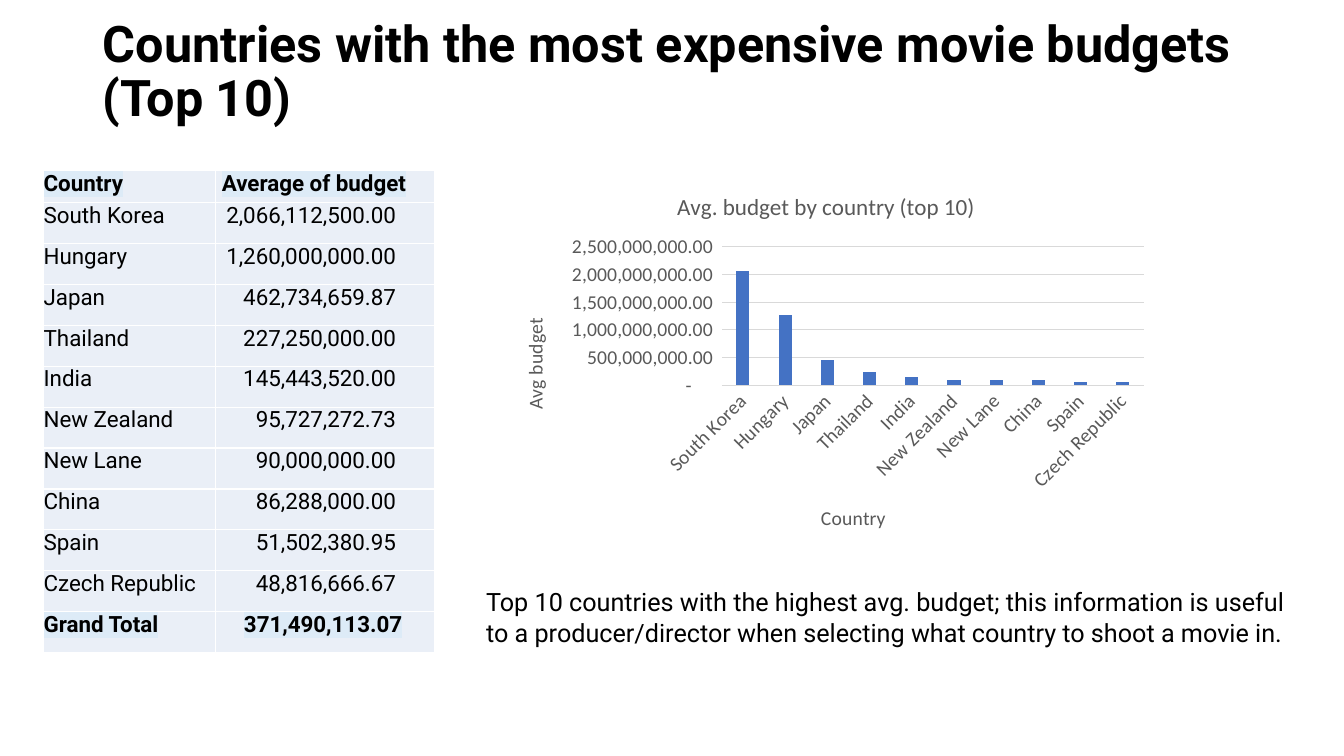
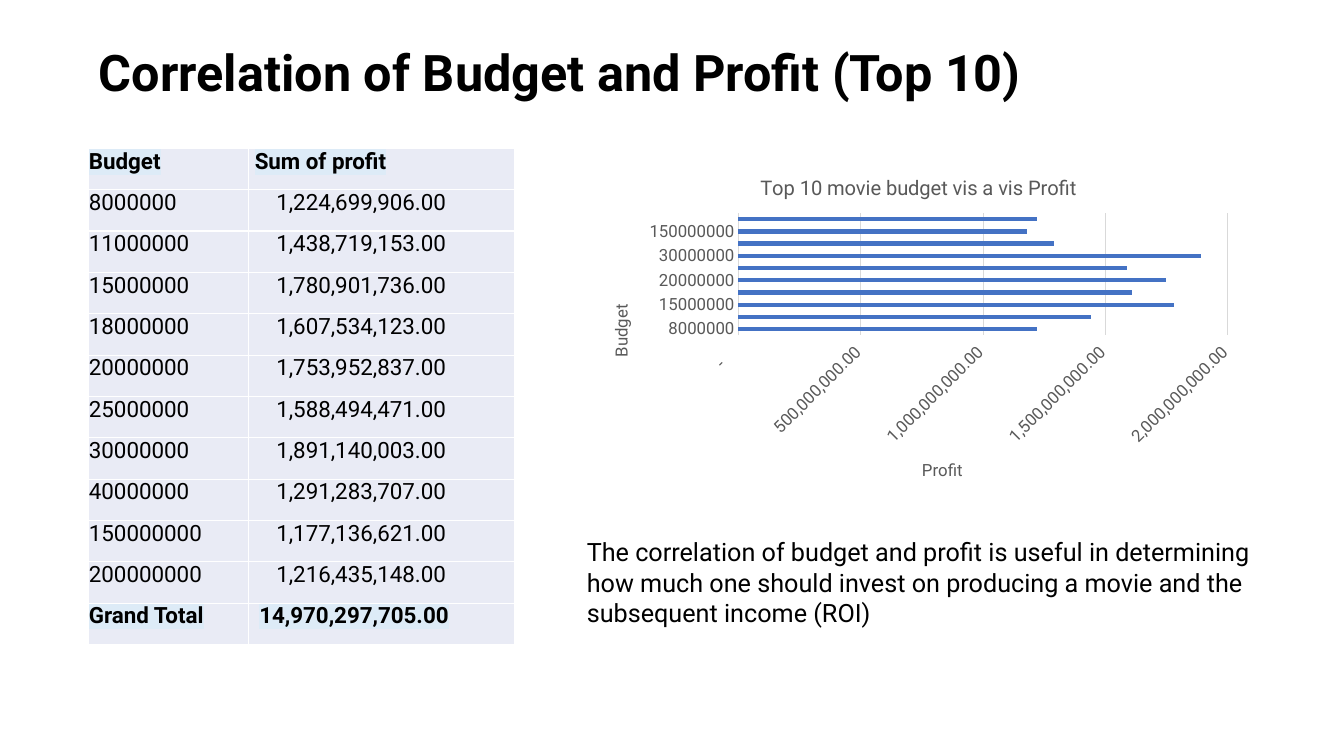
from dataclasses import dataclass

from lxml import etree
from pptx import Presentation
from pptx.chart.data import CategoryChartData
from pptx.dml.color import RGBColor
from pptx.enum.chart import XL_CHART_TYPE, XL_TICK_MARK
from pptx.enum.text import MSO_ANCHOR, MSO_AUTO_SIZE, PP_ALIGN
from pptx.oxml.ns import qn
from pptx.util import Cm, Pt

COLUMN = XL_CHART_TYPE.COLUMN_CLUSTERED
BAR = XL_CHART_TYPE.BAR_CLUSTERED
NO_TICK = XL_TICK_MARK.NONE
MIDDLE = MSO_ANCHOR.MIDDLE
NO_FIT = MSO_AUTO_SIZE.NONE
LEFT = PP_ALIGN.LEFT
RIGHT = PP_ALIGN.RIGHT

FONT = "Roboto"
BLACK = "000000"
GREY = "595959"
RULE = "D9D9D9"
BLUE = "4472C4"
MARK = "DDEBF7"
MONEY = '_(* #,##0.00_);_(* \\(#,##0.00\\);_(* "-"??_);_(@_)'
HEAD_PAD = 0.15
STEP = 500_000_000

Box = tuple[float, float, float, float]
Spot = tuple[float, float]


@dataclass(frozen=True)
class Grid:
    left: float
    top: float
    widths: tuple[float, float]
    head_high: float
    body_high: float
    fill: str
    heads: tuple[str, str]
    rows: tuple[tuple[str, float], ...]
    total: float
    pad: float
    total_pad: float


@dataclass(frozen=True)
class Graph:
    kind: int
    box: Box
    plot: Box
    font: str
    size: float
    title_size: float
    title: str
    title_at: Spot
    side: str
    side_at: Spot
    base: str
    base_at: Spot
    top: int
    gap: int
    lap: int


@dataclass(frozen=True)
class Page:
    title: str
    title_box: Box
    grid: Grid
    graph: Graph
    note: str
    note_box: Box


PAGES = (
    Page(
        "Countries with the most expensive movie budgets (Top 10)",
        (2.34, 0, 29.21, 3.68),
        Grid(
            1.1, 4.3, (4.34, 5.5), 0.81, 11.34, "EAEFF7",
            ("Country", "Average of budget"),
            (
                ("South Korea", 2066112500),
                ("Hungary", 1260000000),
                ("Japan", 462734659.87),
                ("Thailand", 227250000),
                ("India", 145443520),
                ("New Zealand", 95727272.73),
                ("New Lane", 90000000),
                ("China", 86288000),
                ("Spain", 51502380.95),
                ("Czech Republic", 48816666.67),
            ),
            371490113.07, 0.96, 0.8,
        ),
        Graph(
            COLUMN, (12.62, 4.42, 16.54, 9.5), (5.57, 1.8, 10.64, 3.49),
            "Calibri", 14, 16.5,
            "Avg. budget by country (top 10)", (4.34, 0.27),
            "Avg budget", (0.43, 3.5), "Country", (7.98, 8.19),
            5 * STEP, 219, -27,
        ),
        "Top 10 countries with the highest avg. budget; this information is "
        "useful to a producer/director when selecting what country to shoot "
        "a movie in.",
        (12, 14.66, 20.78, 1.8),
    ),
    Page(
        "Correlation of Budget and Profit (Top 10)",
        (2.24, 0.05, 29.21, 3.68),
        Grid(
            2.24, 3.75, (4.03, 6.7), 1.03, 11.47, "E9EBF5",
            ("Budget", "Sum of profit"),
            (
                ("8000000", 1224699906),
                ("11000000", 1438719153),
                ("15000000", 1780901736),
                ("18000000", 1607534123),
                ("20000000", 1753952837),
                ("25000000", 1588494471),
                ("30000000", 1891140003),
                ("40000000", 1291283707),
                ("150000000", 1177136621),
                ("200000000", 1216435148),
            ),
            14970297705, 1.73, 1.66,
        ),
        Graph(
            BAR, (14.83, 4.01, 16.61, 8.64), (3.78, 1.36, 12.33, 3.08),
            FONT, 12, 14.4,
            "Top 10 movie budget vis a vis Profit", (4.24, 0.28),
            "Budget", (0.46, 3.58), "Profit", (8.33, 7.47),
            4 * STEP, 182, 0,
        ),
        "The correlation of budget and profit is useful in determining how "
        "much one should invest on producing a movie and the subsequent "
        "income (ROI)",
        (14.54, 13.4, 17.88, 2.57),
    ),
)


def paint(code: str) -> RGBColor:
    return RGBColor.from_string(code)


def style(font, face: str, size: float, code: str, bold: bool = False) -> None:
    font.name = face
    font.size = Pt(size)
    font.bold = bold
    font.color.rgb = paint(code)


def write(para, text: str, size: float, bold: bool = False,
          face: str = FONT, code: str = BLACK):
    run = para.add_run()
    run.text = text
    style(run.font, face, size, code, bold)
    return run


def mark(run) -> None:
    latin = run._r.rPr.find(qn("a:latin"))
    glow = etree.Element(qn("a:highlight"))
    etree.SubElement(glow, qn("a:srgbClr")).set("val", MARK)
    latin.addprevious(glow)


def place(node, spot: tuple[float, ...], frame: Box, index: int) -> None:
    for old in node.findall(qn("c:layout")):
        node.remove(old)
    layout = etree.Element(qn("c:layout"))
    manual = etree.SubElement(layout, qn("c:manualLayout"))
    parts = [("xMode", "edge"), ("yMode", "edge")]
    if len(spot) == 4:
        parts.insert(0, ("layoutTarget", "inner"))
    sides = frame[2:] * 2
    parts += [(name, str(part / side))
              for name, part, side in zip("xywh", spot, sides)]
    for name, value in parts:
        etree.SubElement(manual, qn(f"c:{name}")).set("val", value)
    node.insert(index, layout)


def move(shape, box: Box) -> None:
    shape.left, shape.top, shape.width, shape.height = map(Cm, box)


def add_title(slide, text: str, box: Box) -> None:
    title = slide.shapes.title
    move(title, box)
    frame = title.text_frame
    frame.word_wrap = True
    frame.auto_size = NO_FIT
    frame.vertical_anchor = MIDDLE
    para = frame.paragraphs[0]
    para.alignment = LEFT
    para.line_spacing = 0.9
    write(para, text, 36, True)


def add_note(slide, text: str, box: Box) -> None:
    frame = slide.shapes.add_textbox(*map(Cm, box)).text_frame
    frame.word_wrap = True
    write(frame.paragraphs[0], text, 18)


def add_grid(slide, grid: Grid) -> None:
    lines = [grid.heads]
    lines += [(name, f"{value:,.2f}") for name, value in grid.rows]
    lines.append(("Grand Total", f"{grid.total:,.2f}"))
    last = len(lines) - 1
    table = slide.shapes.add_table(
        len(lines), 2, Cm(grid.left), Cm(grid.top), Cm(sum(grid.widths)),
        Cm(grid.head_high + grid.body_high)).table
    table.first_row = False
    table.horz_banding = False
    for column, width in zip(table.columns, grid.widths):
        column.width = Cm(width)
    for r, line in enumerate(lines):
        table.rows[r].height = Cm(grid.body_high / last if r else grid.head_high)
        for c, text in enumerate(line):
            cell = table.cell(r, c)
            cell.fill.solid()
            cell.fill.fore_color.rgb = paint(grid.fill)
            cell.margin_left = Cm(HEAD_PAD if c and not r else 0)
            cell.margin_right = cell.margin_top = cell.margin_bottom = 0
            para = cell.text_frame.paragraphs[0]
            if c and r:
                para.alignment = RIGHT
                pad = grid.total_pad if r == last else grid.pad
                cell.margin_right = Cm(pad)
            bold = r in (0, last)
            run = write(para, text, 16, bold)
            if bold:
                mark(run)


def label(title, text: str, spot: Spot, size: float, graph: Graph,
          turn: int = 0) -> None:
    frame = title.text_frame
    write(frame.paragraphs[0], text, size, face=graph.font, code=GREY)
    body = frame._txBody.find(qn("a:bodyPr"))
    body.set("rot", str(turn * 60000))
    body.set("vert", "horz")
    place(title._element, spot, graph.box, 1)


def rule(line) -> None:
    line.color.rgb = paint(RULE)
    line.width = Pt(0.75)


def add_graph(slide, graph: Graph, rows: tuple[tuple[str, float], ...]) -> None:
    data = CategoryChartData(number_format=MONEY)
    data.categories = [name for name, _ in rows]
    data.add_series("Series 1", [round(value, -7) for _, value in rows])
    chart = slide.shapes.add_chart(
        graph.kind, *map(Cm, graph.box), data).chart
    style(chart.font, graph.font, graph.size, BLACK)
    chart.has_legend = False
    chart.has_title = True
    label(chart.chart_title, graph.title, graph.title_at,
          graph.title_size, graph)

    plot = chart.plots[0]
    plot.vary_by_categories = False
    plot.gap_width = graph.gap
    plot.overlap = graph.lap
    fill = plot.series[0].format.fill
    fill.solid()
    fill.fore_color.rgb = paint(BLUE)

    names, scale = chart.category_axis, chart.value_axis
    for axis in (names, scale):
        axis.major_tick_mark = axis.minor_tick_mark = NO_TICK
        style(axis.tick_labels.font, graph.font, graph.size, GREY)
    rule(names.format.line)
    scale.format.line.fill.background()
    scale.has_major_gridlines = True
    rule(scale.major_gridlines.format.line)
    scale.minimum_scale = 0
    scale.maximum_scale = graph.top
    scale.major_unit = STEP
    scale.tick_labels.number_format = MONEY
    scale.tick_labels.number_format_is_linked = False

    base, side = (names, scale) if graph.kind == COLUMN else (scale, names)
    label(base.axis_title, graph.base, graph.base_at, graph.size, graph)
    label(side.axis_title, graph.side, graph.side_at, graph.size, graph, -90)
    body = base._element.find(qn("c:txPr")).find(qn("a:bodyPr"))
    body.set("rot", str(-45 * 60000))
    body.set("vert", "horz")
    place(chart._chartSpace.chart.plotArea, graph.plot, graph.box, 0)


def main() -> None:
    deck = Presentation()
    deck.slide_width = Cm(33.87)
    deck.slide_height = Cm(19.05)
    for page in PAGES:
        slide = deck.slides.add_slide(deck.slide_layouts[5])
        add_title(slide, page.title, page.title_box)
        add_grid(slide, page.grid)
        add_graph(slide, page.graph, page.grid.rows)
        add_note(slide, page.note, page.note_box)
    deck.save("out.pptx")


if __name__ == "__main__":
    main()
